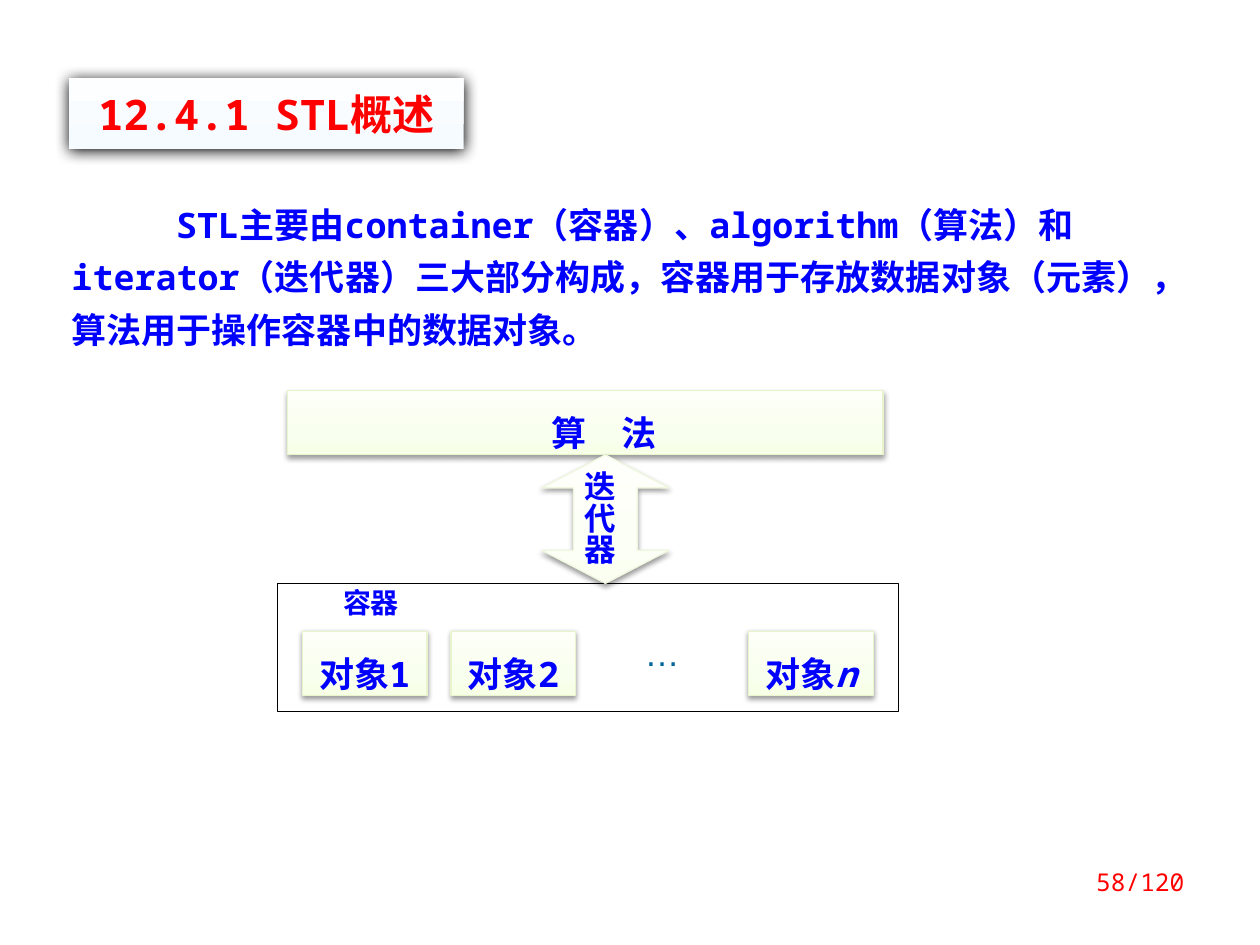
"""Build the slide that outlines the parts of STL."""
from dataclasses import dataclass
from lxml import etree
from pptx import Presentation
from pptx.dml.color import RGBColor as Rgb
from pptx.enum.shapes import MSO_SHAPE as Kind
from pptx.enum.text import MSO_ANCHOR as Anchor, PP_ALIGN as Align
from pptx.oxml import parse_xml
from pptx.oxml.ns import nsdecls, qn
from pptx.util import Inches, Pt


@dataclass(frozen=True)
class Theme:
    """Colours, fonts and type sizes."""
    mono: str = "Noto Sans Mono"
    sans: str = "Arial"
    red: str = "FF0000"
    blue: str = "0000FF"
    teal: str = "006699"
    white: str = "FFFFFF"
    black: str = "000000"
    sky: tuple = ("F5FBFF", "F8FCFF", "FCFEFF")
    lime: tuple = ("F7FFE7", "F9FFEE", "FDFFF8")
    pale: tuple = ("FAFFF1", "FBFFF5", "FEFFFB")
    edge: str = "E8F5CC"
    rim: str = "EFF7DF"
    head: int = 24
    body: int = 20
    side: int = 18
    tag: int = 16
    foot: int = 14
    glow: tuple = (100, 8.5, 1)
    soft: tuple = (38, 3.1, 1.6)


T = Theme()


def shade(shape, tones):
    """Fill a shape with a gradient that rises from the bottom."""
    stops = "".join(f'<a:gs pos="{pos}000"><a:srgbClr val="{tone}"/></a:gs>'
                    for pos, tone in zip((0, 35, 100), tones))
    shape._element.spPr.find(qn("a:prstGeom")).addnext(parse_xml(
        f'<a:gradFill rotWithShape="1" {nsdecls("a")}><a:gsLst>{stops}</a:gsLst>'
        '<a:lin ang="16200000" scaled="0"/></a:gradFill>'))


def drop(shape, look):
    """Cast a shadow straight down."""
    alpha, blur, dist = look
    fx = shape._element.spPr.find(qn("a:effectLst"))
    out = etree.SubElement(fx, qn("a:outerShdw"), blurRad=str(Pt(blur)),
                           dist=str(Pt(dist)), dir="5400000", rotWithShape="0")
    tone = etree.SubElement(out, qn("a:srgbClr"), val=T.black)
    etree.SubElement(tone, qn("a:alpha"), val=f"{alpha}000")


def mould(shape, **sizes):
    """Set the named adjustments of a preset shape."""
    guides = shape._element.spPr.find(qn("a:prstGeom")).find(qn("a:avLst"))
    for old in list(guides):
        guides.remove(old)
    for name, size in sizes.items():
        etree.SubElement(guides, qn("a:gd"), name=name, fmla=f"val {size}")


def panel(host, box, fill, line=None, look=None, kind=Kind.RECTANGLE):
    """Add a filled shape."""
    shape = host.add_shape(kind, *map(Inches, box))
    shape.shadow.inherit = False
    if isinstance(fill, tuple):
        shade(shape, fill)
    else:
        shape.fill.solid()
        shape.fill.fore_color.rgb = Rgb.from_string(fill)
    if line:
        shape.line.color.rgb = Rgb.from_string(line)
        shape.line.width = Pt(0.75)
    else:
        shape.line.fill.background()
    if look:
        drop(shape, look)
    return shape


def write(shape, runs, size, color=T.blue, font=T.mono, bold=True,
          align=Align.CENTER, space=None, indent=0, pad=(0, 0)):
    """Set the text of a shape from (words, italic) runs."""
    frame = shape.text_frame
    frame.word_wrap = True
    frame.vertical_anchor = Anchor.TOP
    frame.margin_left = frame.margin_right = Inches(pad[0])
    frame.margin_top = frame.margin_bottom = Inches(pad[1])
    para = frame.paragraphs[0]
    para.alignment = align
    para.line_spacing = space
    if indent:
        props = para._p.get_or_add_pPr()
        props.set("marL", "0")
        props.set("indent", str(Inches(indent)))
    for words, slant in runs:
        run = para.add_run()
        run.text = words
        face = run.font
        face.name, face.size, face.bold = font, Pt(size), bold
        face.italic = slant or None
        face.color.rgb = Rgb.from_string(color)
        run._r.rPr.find(qn("a:latin")).addnext(
            parse_xml(f'<a:ea {nsdecls("a")} typeface="{font}"/>'))


def label(host, box, text, size, **style):
    """Add a plain text box."""
    shape = host.add_textbox(*map(Inches, box))
    write(shape, [(text, False)], size, pad=(0.1, 0.05), **style)


def card(host, box, runs, **style):
    """Add a green box with its text."""
    shape = panel(host, box, T.lime, T.edge, T.soft)
    write(shape, runs, T.body, space=1.5, **style)


def chart(host):
    """Draw algorithm, iterator and container."""
    panel(host, (2.2, 4.63, 4.93, 1.02), T.white, T.black)
    card(host, (2.28, 3.1, 4.73, 0.51), [("算　法", False)], indent=0.3)
    items = ([("对象1", False)], [("对象2", False)], None,
             [("对象", False), ("n", True)])
    for col, runs in enumerate(items):
        box = (2.4 + col * 1.18, 5.01, 0.99, 0.51)
        if runs:
            card(host, box, runs)
        else:
            gap = panel(host, box, T.white)
            write(gap, [("…", False)], T.body, T.teal, T.sans, bold=None)
    arrow = panel(host, (4.3, 3.61, 1.01, 1.02), T.pale, T.rim, T.soft,
                  Kind.UP_DOWN_ARROW)
    mould(arrow, adj1=50000, adj2=26000)
    write(arrow, [("迭代器", False)], T.side, space=1.5)
    arrow.text_frame._txBody.bodyPr.set("vert", "eaVert")
    name = panel(host, (2.66, 4.65, 0.57, 0.25), T.white)
    write(name, [("容器", False)], T.tag)


def main():
    """Make and save the slide."""
    deck = Presentation()
    deck.slide_width, deck.slide_height = Inches(10), Inches(7.5)
    host = deck.slides.add_slide(deck.slide_layouts[6]).shapes
    title = panel(host, (0.55, 0.62, 3.13, 0.56), T.sky, look=T.glow)
    write(title, [("12.4.1 STL概述", False)], T.head, T.red, pad=(0.1, 0.08))
    label(host, (0.47, 1.48, 9.14, 1.36),
          "STL主要由container（容器）、algorithm（算法）和iterator（迭代器）"
          "三大部分构成，容器用于存放数据对象（元素），算法用于操作容器中的数据对象。",
          T.body, align=Align.LEFT, space=Pt(30), indent=0.83)
    chart(host.add_group_shape().shapes)
    label(host, (7.17, 6.83, 2.33, 0.5), "58/120", T.foot, color=T.red,
          bold=None, align=Align.RIGHT)
    deck.save("out.pptx")


if __name__ == "__main__":
    main()
